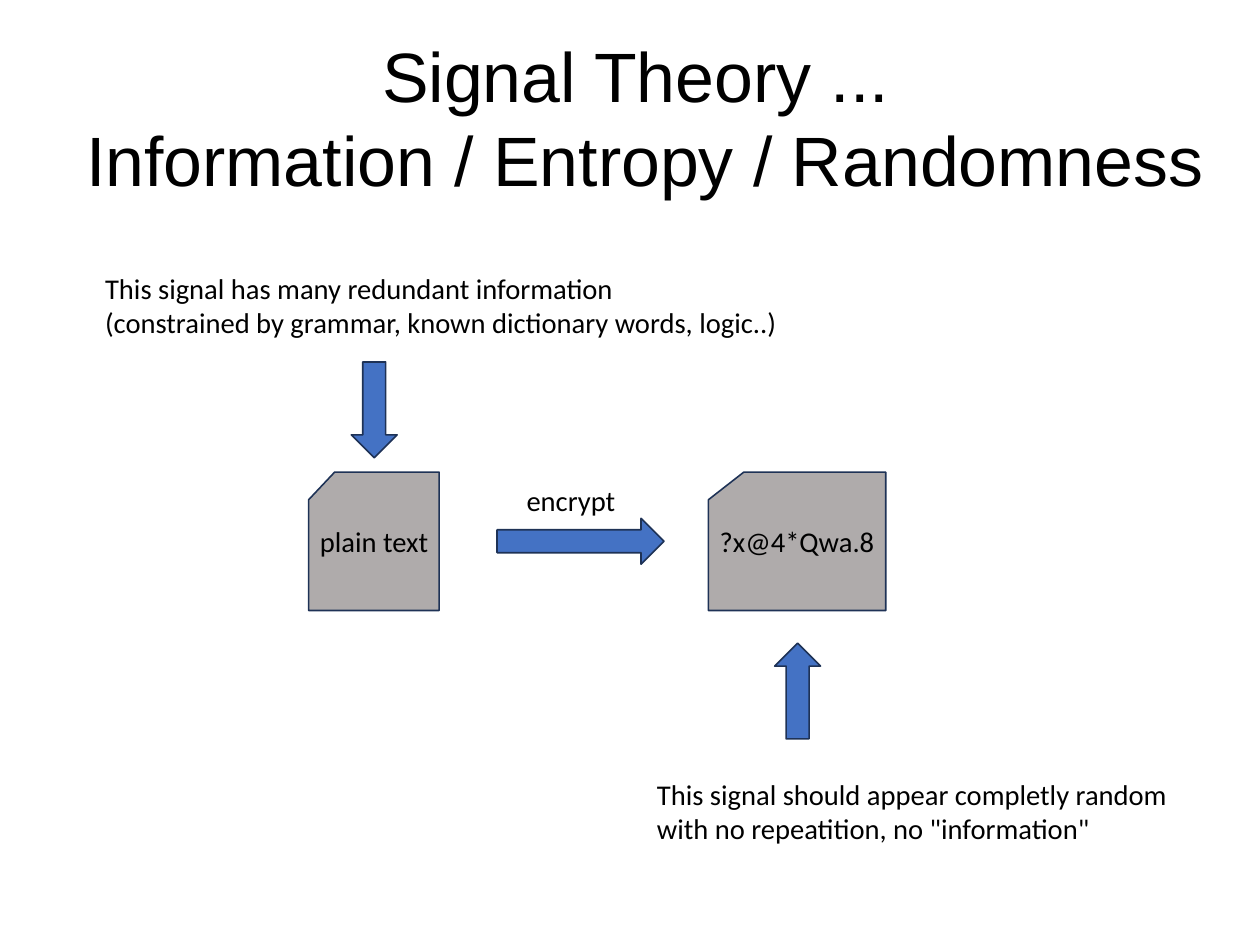
from pptx import Presentation
from pptx import util as u
from pptx.dml.color import RGBColor
from pptx.enum import shapes, text

theme = {
    "ink": RGBColor.from_string("000000"),
    "card": RGBColor.from_string("AFABAB"),
    "arrow": RGBColor.from_string("4472C4"),
    "edge": RGBColor.from_string("1E3256"),
    "head": ("Arial", 44),
    "body": ("Calibri", 18),
}

deck = Presentation()
deck.slide_width = u.Cm(28)
deck.slide_height = u.Cm(21)
slide = deck.slides.add_slide(deck.slide_layouts[6])
col = deck.slide_width / 100
row = deck.slide_height / 100


def draw(kind, fill, x, y, w, h, turn=0):
    shape = slide.shapes.add_shape(
        kind, int(x * col), int(y * row), int(w * col), int(h * row))
    shape.rotation = turn
    shape.shadow.inherit = False
    shape.fill.solid()
    shape.fill.fore_color.rgb = theme[fill]
    shape.line.color.rgb = theme["edge"]
    shape.line.width = u.Pt(1)


def write(lines, style, x, y, w, h):
    box = slide.shapes.add_textbox(
        int(x * col), int(y * row), int(w * col), int(h * row))
    frame = box.text_frame
    frame.word_wrap = False
    frame.text = "\n".join(lines)
    for para in frame.paragraphs:
        name, size = theme[style]
        para.font.name = name
        para.font.size = u.Pt(size)
        para.font.color.rgb = theme["ink"]
    return frame


title = write(["Signal Theory ... ", "Information / Entropy / Randomness"],
              "head", 5, 4, 92.5, 16.7)
title.word_wrap = True
title.vertical_anchor = text.MSO_ANCHOR.MIDDLE
title.margin_left = title.margin_right = 0
title.margin_top = title.margin_bottom = 0
for para in title.paragraphs:
    para.alignment = text.PP_ALIGN.CENTER

line = 4.85
mid = 54.85
plain, cipher = 24.5, 56.23
card = shapes.MSO_SHAPE.FLOWCHART_CARD
arrow = shapes.MSO_SHAPE.RIGHT_ARROW

for x, w in [(plain, 10.35), (cipher, 14.07)]:
    draw(card, "card", x, 49.95, w, 14.65)

for x, y, w, turn in [(39.45, mid, 13.25, 0),
                      (59.5, 70.7, 7.6, 270),
                      (25.9, 40.95, 7.6, 90)]:
    draw(arrow, "arrow", x, y, w, line, turn)

notes = [
    (["encrypt"], 40.9, 50.5, 9, line),
    (["plain text"], plain, mid, 10.5, line),
    (["?x@4*Qwa.8"], cipher, mid, 14.25, line),
    (["This signal should appear completly random",
      'with no repeatition, no "information"'], 51.25, 81.57, 42.85, 8.6),
    (["This signal has many redundant information",
      "(constrained by grammar, known dictionary words, logic..)"],
     7.45, 28.05, 55.7, 8.6),
]
for lines, x, y, w, h in notes:
    frame = write(lines, "body", x, y, w, h)
    frame.auto_size = text.MSO_AUTO_SIZE.SHAPE_TO_FIT_TEXT

deck.save("out.pptx")
